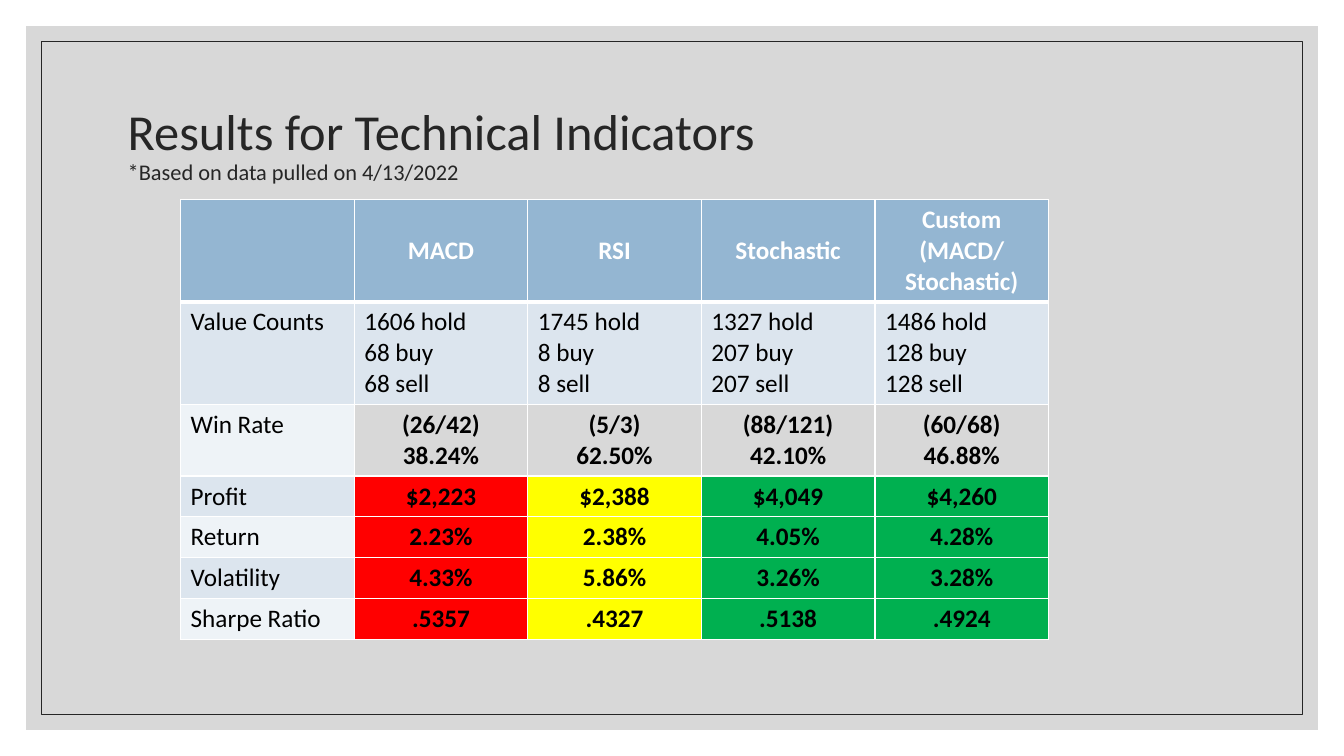
from lxml import etree
from pptx import Presentation
from pptx.dml.color import RGBColor
from pptx.enum.shapes import MSO_SHAPE
from pptx.enum.text import MSO_ANCHOR, PP_ALIGN
from pptx.oxml.ns import qn
from pptx.util import Pt

RECTANGLE = MSO_SHAPE.RECTANGLE
MIDDLE, TOP = MSO_ANCHOR.MIDDLE, MSO_ANCHOR.TOP
CENTER, LEFT = PP_ALIGN.CENTER, PP_ALIGN.LEFT

FONT = "Calibri"
COLORS = {
    "panel": "BFBFBF", "ink": "262626", "white": "FFFFFF", "black": "000000",
    "header": "94B6D2", "band_dark": "DCE5EE", "band_light": "EEF3F7",
    "red": "FF0000", "yellow": "FFFF00", "green": "00B050",
}
TITLE = "Results for Technical Indicators"
NOTE = "*Based on data pulled on 4/13/2022"
RESULTS = [
    ["", "MACD", "RSI", "Stochastic", "Custom\n(MACD/ Stochastic)"],
    ["Value Counts", "1606 hold\n68 buy\n68 sell", "1745 hold\n8 buy\n8 sell",
     "1327 hold\n207 buy\n207 sell", "1486 hold\n128 buy\n128 sell"],
    ["Win Rate", "(26/42)\n38.24%", "(5/3)\n62.50%", "(88/121)\n42.10%", "(60/68)\n46.88%"],
    ["Profit", "$2,223", "$2,388", "$4,049", "$4,260"],
    ["Return", "2.23%", "2.38%", "4.05%", "4.28%"],
    ["Volatility", "4.33%", "5.86%", "3.26%", "3.28%"],
    ["Sharpe Ratio", ".5357", ".4327", ".5138", ".4924"],
]
RATINGS = ["red", "yellow", "green", "green"]
ROW_LINES = [3, 3, 2, 1, 1, 1, 1]
HEADER_ROW, COUNTS_ROW, WIN_ROW = 0, 1, 2
SLIDE_WIDTH, SLIDE_HEIGHT = 960, 540
TABLE_LEFT, TABLE_TOP, COLUMN_WIDTH = 129, 142.4, 124
LINE_HEIGHT, CELL_PADDING = 22, 7.2


def rgb(name):
    return RGBColor.from_string(COLORS[name])


def add_span(para, text, size, color, bold=False):
    span = para.add_run()
    span.text = text
    span.font.name = FONT
    span.font.size = Pt(size)
    span.font.bold = bold
    span.font.color.rgb = rgb(color)


def add_frame(page, inset):
    frame = page.shapes.add_shape(
        RECTANGLE, Pt(inset), Pt(inset),
        Pt(SLIDE_WIDTH - 2 * inset), Pt(SLIDE_HEIGHT - 2 * inset))
    frame.shadow.inherit = False
    return frame


def cell_fill(row, column):
    if row == HEADER_ROW:
        return "header"
    if row == COUNTS_ROW or column == 0:
        return "band_dark" if row % 2 else "band_light"
    return None if row == WIN_ROW else RATINGS[column - 1]


def add_borders(cell, row):
    widths = {
        "a:lnL": 1, "a:lnR": 1,
        "a:lnT": 3 if row == COUNTS_ROW else 1,
        "a:lnB": 3 if row == HEADER_ROW else 1,
    }
    properties = cell._tc.get_or_add_tcPr()
    for side, width in widths.items():
        border = etree.SubElement(properties, qn(side), w=str(int(Pt(width))))
        paint = etree.SubElement(border, qn("a:solidFill"))
        etree.SubElement(paint, qn("a:srgbClr"), val=COLORS["white"])


def fill_cell(cell, text, row, column):
    add_borders(cell, row)
    color = cell_fill(row, column)
    if color:
        cell.fill.solid()
        cell.fill.fore_color.rgb = rgb(color)
    else:
        cell.fill.background()
    header = row == HEADER_ROW
    centered = header or (row >= WIN_ROW and column > 0)
    cell.vertical_anchor = MIDDLE if centered else TOP
    for index, line in enumerate(text.split("\n")):
        frame = cell.text_frame
        para = frame.add_paragraph() if index else frame.paragraphs[0]
        para.alignment = CENTER if centered else LEFT
        add_span(para, line, 18, "white" if header else "black", centered)


deck = Presentation()
deck.slide_width, deck.slide_height = Pt(SLIDE_WIDTH), Pt(SLIDE_HEIGHT)
page = deck.slides.add_slide(deck.slide_layouts[6])

panel = add_frame(page, 18.7)
panel.fill.solid()
panel.fill.fore_color.rgb = rgb("panel")
panel.line.fill.background()
tint = panel._element.spPr.find(".//" + qn("a:srgbClr"))
etree.SubElement(tint, qn("a:alpha"), val="60000")

outline = add_frame(page, 29.5)
outline.fill.background()
outline.line.color.rgb = rgb("ink")
outline.line.width = Pt(0.5)

heading = page.shapes.add_textbox(Pt(84.2), Pt(50.4), Pt(792), Pt(108)).text_frame
heading.word_wrap = True
heading.vertical_anchor = MIDDLE
para = heading.paragraphs[0]
para.line_spacing = 0.9
add_span(para, TITLE, 36, "ink")
para.add_line_break()
add_span(para, NOTE, 16, "ink")

heights = [CELL_PADDING + LINE_HEIGHT * lines for lines in ROW_LINES]
columns = len(RESULTS[0])
table = page.shapes.add_table(
    len(RESULTS), columns, Pt(TABLE_LEFT), Pt(TABLE_TOP),
    Pt(COLUMN_WIDTH * columns), Pt(sum(heights))).table
table.horz_banding = False
for column in table.columns:
    column.width = Pt(COLUMN_WIDTH)
for row, texts in enumerate(RESULTS):
    table.rows[row].height = Pt(heights[row])
    for column, text in enumerate(texts):
        fill_cell(table.cell(row, column), text, row, column)

deck.save("out.pptx")
